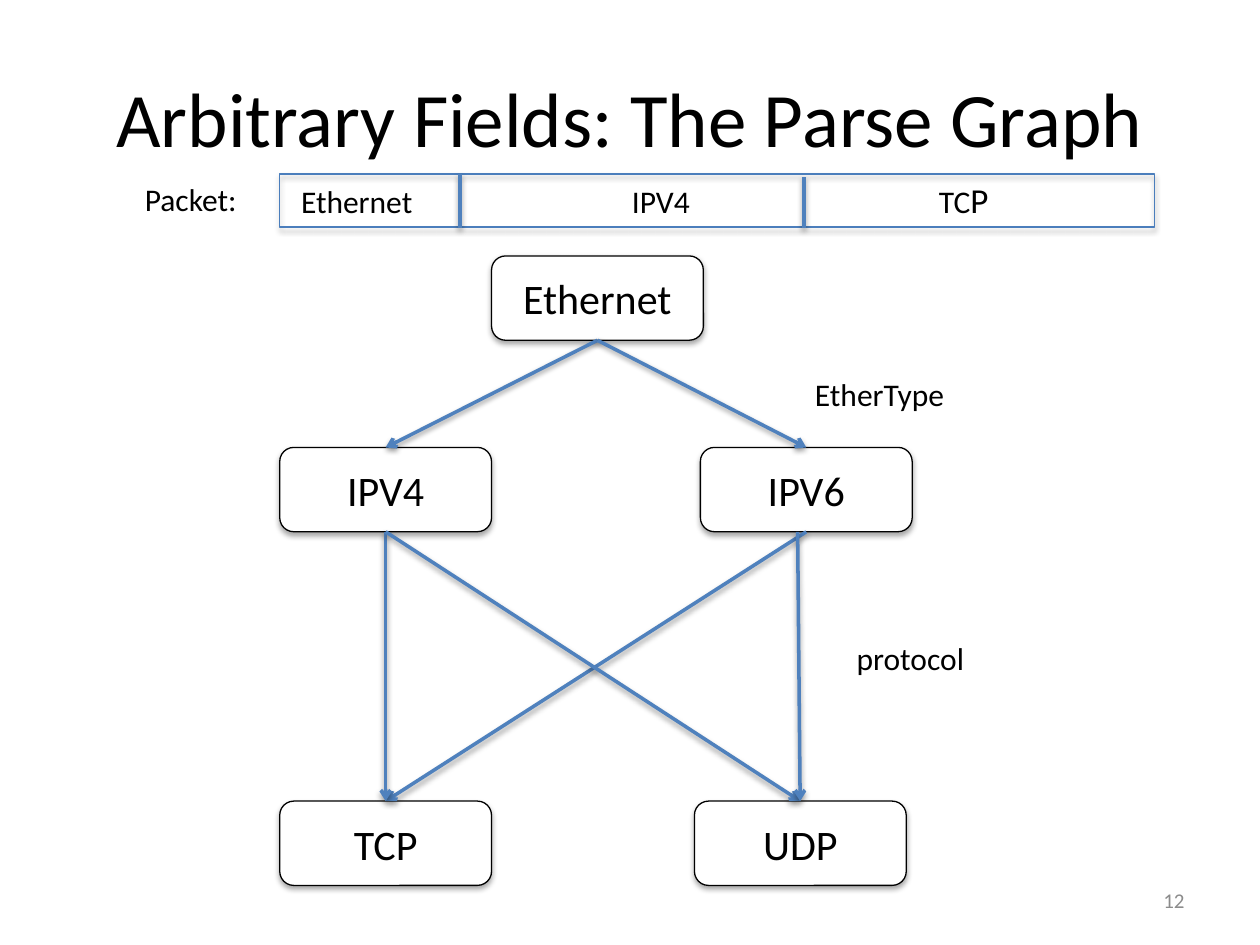
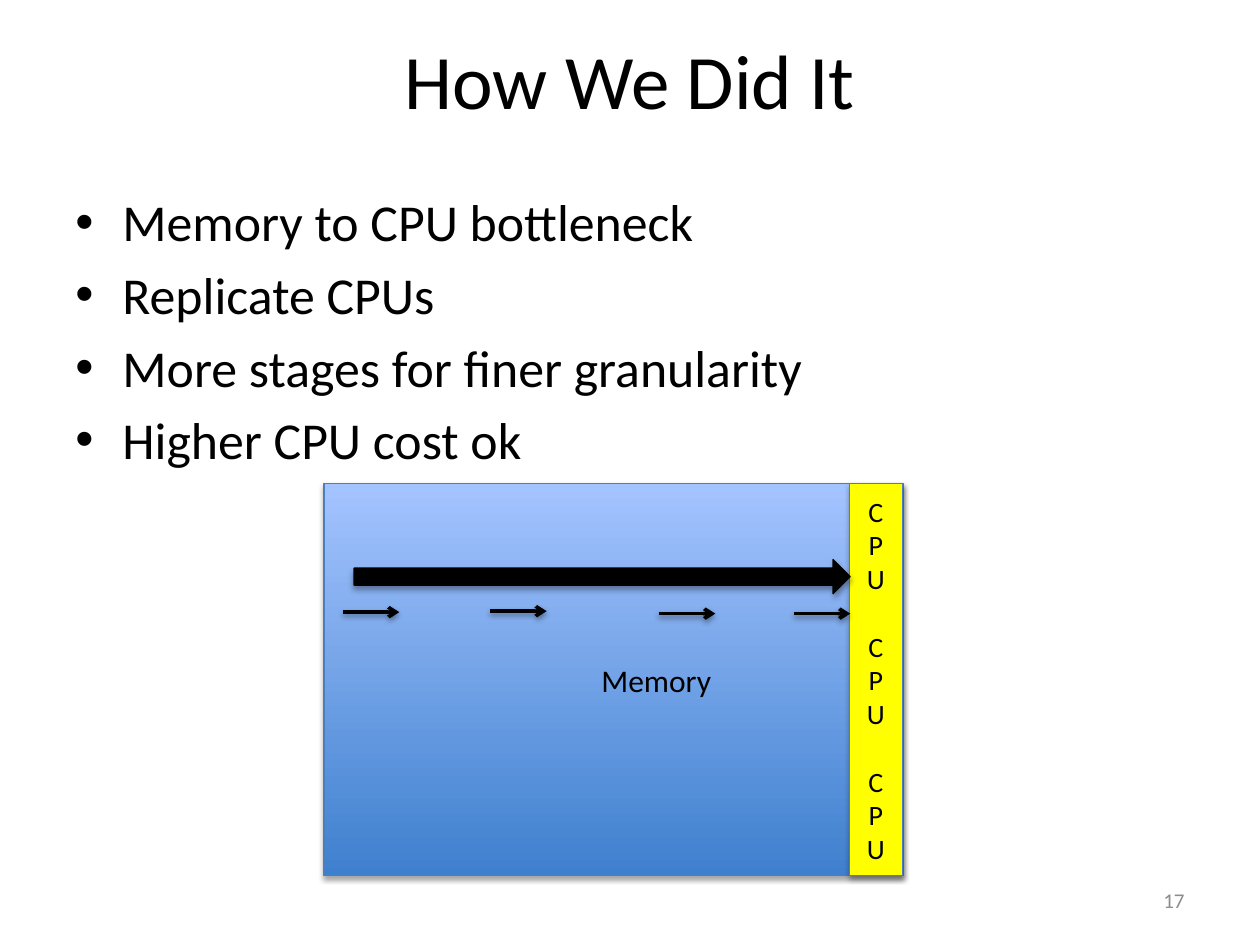
from dataclasses import dataclass

from lxml.etree import SubElement
from pptx import Presentation
from pptx.dml.color import RGBColor
from pptx.enum.shapes import MSO_CONNECTOR, MSO_SHAPE
from pptx.enum.text import MSO_ANCHOR, PP_ALIGN
from pptx.oxml.ns import qn
from pptx.util import Cm, Pt

# Shared look
FONT = "Calibri"
BLACK, WHITE, GREY = "000000", "FFFFFF", "8C8C8C"
BLUE, EDGE, YELLOW = "4F81BD", "4B7EBC", "FFFF00"
MEMORY_LOW, MEMORY_HIGH = "3F80CE", "A4C4FF"
NODE_W, NODE_H = 4.27, 1.7
TOP_SITE, BOTTOM_SITE = 0, 2


@dataclass
class Box:
    """A rectangle in centimetres."""
    x: float
    y: float
    w: float
    h: float

    def lengths(self) -> tuple:
        return Cm(self.x), Cm(self.y), Cm(self.w), Cm(self.h)


@dataclass
class Node:
    """One protocol header of the parse graph."""
    name: str
    x: float
    y: float


@dataclass
class Label:
    text: str
    box: Box


def color(value: str) -> RGBColor:
    return RGBColor.from_string(value)


def add_run(p, text: str, size: float, hue: str = BLACK):
    r = p.add_run()
    r.text = text
    r.font.name, r.font.size = FONT, Pt(size)
    r.font.color.rgb = color(hue)
    return r


def add_shadow(sp, dist: int, alpha: int) -> None:
    """Give a shape or connector a soft shadow straight below it."""
    effects = SubElement(sp._element.spPr, qn("a:effectLst"))
    outer = SubElement(effects, qn("a:outerShdw"), blurRad="40000",
                       dist=str(dist), dir="5400000", rotWithShape="0")
    black = SubElement(outer, qn("a:srgbClr"), val=BLACK)
    SubElement(black, qn("a:alpha"), val=str(alpha * 1000))


def add_block(s, kind, box: Box, fill: str | None, line: str):
    """Draw a preset shape with a thin line and a shadow."""
    sp = s.shapes.add_shape(kind, *box.lengths())
    if fill:
        sp.fill.solid()
        sp.fill.fore_color.rgb = color(fill)
    else:
        sp.fill.background()
    sp.line.color.rgb, sp.line.width = color(line), Pt(0.75)
    add_shadow(sp, 23000, 35)
    tf = sp.text_frame
    tf.vertical_anchor = MSO_ANCHOR.MIDDLE
    tf.paragraphs[0].alignment = PP_ALIGN.CENTER
    return sp


def add_line(s, start: tuple, end: tuple, hue: str, arrow: bool = True):
    c = s.shapes.add_connector(MSO_CONNECTOR.STRAIGHT,
                               Cm(start[0]), Cm(start[1]), Cm(end[0]), Cm(end[1]))
    c.line.color.rgb, c.line.width = color(hue), Pt(2)
    if arrow:
        SubElement(c.line._get_or_add_ln(), qn("a:tailEnd"), type="arrow")
    add_shadow(c, 20000, 38)
    return c


def add_text(s, box: Box, wrap: bool = True):
    tf = s.shapes.add_textbox(*box.lengths()).text_frame
    tf.word_wrap = wrap
    return tf


def add_slide(prs, title: str, title_top: float, number: int):
    """Start a slide with its title and slide number."""
    s = prs.slides.add_slide(prs.slide_layouts[5])
    sp = s.shapes.title
    sp.left, sp.top, sp.width, sp.height = Box(1.27, title_top, 22.86, 3.18).lengths()
    tf = sp.text_frame
    tf.vertical_anchor = MSO_ANCHOR.MIDDLE
    p = tf.paragraphs[0]
    p.alignment = PP_ALIGN.CENTER
    add_run(p, title, 44)

    tf = add_text(s, Box(18.21, 17.65, 5.92, 1.01))
    tf.vertical_anchor = MSO_ANCHOR.MIDDLE
    p = tf.paragraphs[0]
    p.alignment = PP_ALIGN.RIGHT
    add_run(p, str(number), 12, GREY)
    return s


def add_packet(s) -> None:
    """Draw the packet bar: one frame, three fields, two separators."""
    add_block(s, MSO_SHAPE.RECTANGLE, Box(5.64, 3.51, 17.63, 1.07), None, EDGE)
    p = add_text(s, Box(5.82, 3.48, 17.45, 1.12)).paragraphs[0]
    tabs = SubElement(p._p.get_or_add_pPr(), qn("a:tabLst"))
    for stop in (6.67, 12.86):
        SubElement(tabs, qn("a:tab"), pos=str(int(Cm(stop))), algn="l")
    add_run(p, "Ethernet\tIPV4\tTC", 18)
    add_run(p, "P", 20)
    for x, top in ((9.27, 3.51), (16.21, 3.56)):
        add_line(s, (x, 4.6), (x, top), BLUE, arrow=False)


def add_graph(s, nodes: list[Node], links: list[tuple[str, str]]) -> None:
    """Draw the nodes and the arrows glued to them."""
    shapes = {}
    for node in nodes:
        sp = add_block(s, MSO_SHAPE.FLOWCHART_ALTERNATE_PROCESS,
                       Box(node.x, node.y, NODE_W, NODE_H), WHITE, BLACK)
        add_run(sp.text_frame.paragraphs[0], node.name, 24)
        shapes[node.name] = sp
    for parent, child in links:
        c = add_line(s, (0, 0), (1, 1), BLUE)
        c.begin_connect(shapes[parent], BOTTOM_SITE)
        c.end_connect(shapes[child], TOP_SITE)


def add_bullets(s, box: Box, items: list[str], size: float) -> None:
    tf = add_text(s, box)
    for i, item in enumerate(items):
        p = tf.add_paragraph() if i else tf.paragraphs[0]
        p.space_before = Pt(size * 0.2)
        pPr = p._p.get_or_add_pPr()
        indent = int(Cm(0.95))
        pPr.set("marL", str(indent))
        pPr.set("indent", str(-indent))
        SubElement(pPr, qn("a:buFont"), typeface="Arial")
        SubElement(pPr, qn("a:buChar"), char="•")
        add_run(p, item, size)


prs = Presentation()
prs.slide_width, prs.slide_height = Cm(25.4), Cm(19.05)

# Slide 1: parse graph
s = add_slide(prs, "Arbitrary Fields: The Parse Graph", 0.76, 12)
add_graph(
    s,
    [Node("Ethernet", 9.91, 5.16),
     Node("IPV4", 5.64, 9.02), Node("IPV6", 14.12, 9.02),
     Node("TCP", 5.64, 16.15), Node("UDP", 14.0, 16.15)],
    [("Ethernet", "IPV4"), ("Ethernet", "IPV6"),
     ("IPV6", "TCP"), ("IPV4", "TCP"), ("IPV4", "UDP")],
)
# This arrow starts a little left of the node's middle
add_line(s, (16.08, 10.72), (16.13, 16.15), BLUE)
add_packet(s)
for label in (Label("Packet:", Box(2.67, 3.51, 2.41, 1.02)),
              Label("protocol", Box(17.02, 12.75, 5.41, 1.02)),
              Label("EtherType", Box(16.18, 7.44, 5.41, 1.02))):
    tf = add_text(s, label.box, wrap=label.text != "Packet:")
    add_run(tf.paragraphs[0], label.text, 18)

# Slide 2: memory and CPUs
s = add_slide(prs, "How We Did It", 0, 17)
add_bullets(s, Box(1.27, 3.71, 22.86, 5.69),
            ["Memory to CPU bottleneck", "Replicate CPUs",
             "More stages for finer granularity", "Higher CPU cost ok"], 29.6)

# Memory block, its label moved right of centre
memory = add_block(s, MSO_SHAPE.RECTANGLE, Box(6.53, 9.75, 11.68, 7.9), WHITE, EDGE)
memory.fill.gradient()
memory.fill.gradient_angle = 90
for stop, hue in zip(memory.fill.gradient_stops, (MEMORY_LOW, MEMORY_HIGH)):
    stop.color.rgb = color(hue)
memory.text_frame.margin_left = Cm(1.97)
add_run(memory.text_frame.paragraphs[0], "Memory", 18)

# CPU column, so narrow that each letter takes a line
cpus = add_block(s, MSO_SHAPE.RECTANGLE, Box(17.12, 9.75, 1.07, 7.9), YELLOW, EDGE)
tf = cpus.text_frame
tf.word_wrap = True
for i in range(3):
    p = tf.add_paragraph() if i else tf.paragraphs[0]
    p.alignment = PP_ALIGN.CENTER
    p.space_before = Pt(19.5 if i else 0)
    add_run(p, "CPU", 16)

# Short stage arrows under the long one
for x, y in ((6.91, 12.34), (9.88, 12.32), (13.28, 12.37), (16.0, 12.37)):
    add_line(s, (x, y), (x + 1.14, y), BLACK)
add_block(s, MSO_SHAPE.RIGHT_ARROW, Box(7.14, 11.28, 10.0, 0.69), BLACK, BLACK)

prs.save("out.pptx")
